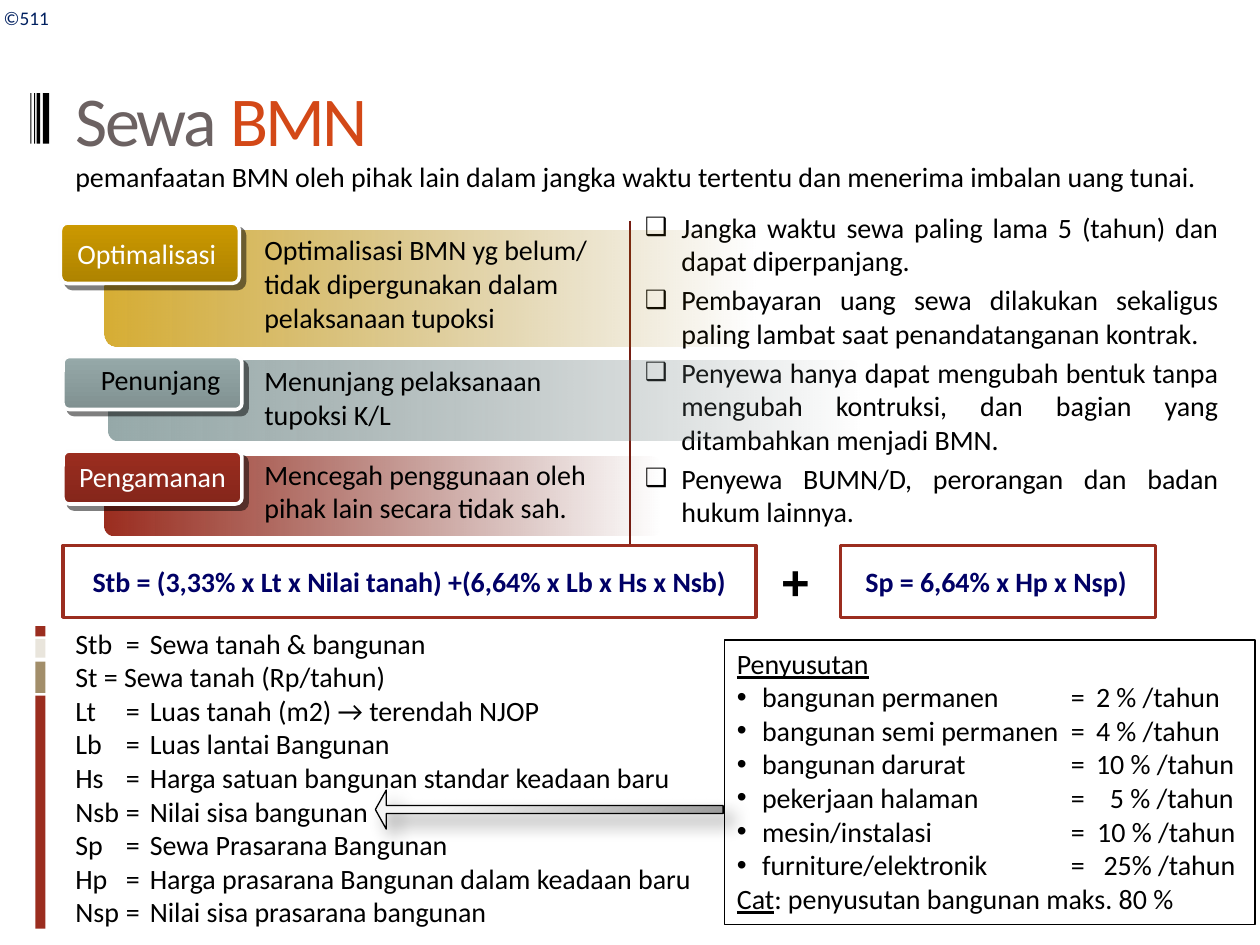
"""Build the "Sewa BMN" slide about leasing state-owned assets."""
from dataclasses import dataclass

from pptx import Presentation
from pptx.dml.color import RGBColor
from pptx.enum.shapes import MSO_CONNECTOR, MSO_SHAPE
from pptx.enum.text import MSO_ANCHOR, MSO_AUTO_SIZE, PP_ALIGN
from pptx.oxml import parse_xml
from pptx.oxml.ns import nsdecls, qn
from pptx.util import Pt

PX = 9144
TITLE_ONLY = 5
RECTANGLE, ROUNDED, ARROW = MSO_SHAPE.RECTANGLE, MSO_SHAPE.ROUNDED_RECTANGLE, MSO_SHAPE.RIGHT_ARROW
LEFT, CENTER, JUSTIFY = PP_ALIGN.LEFT, PP_ALIGN.CENTER, PP_ALIGN.JUSTIFY
TOP, MIDDLE = MSO_ANCHOR.TOP, MSO_ANCHOR.MIDDLE


@dataclass(frozen=True)
class Theme:
    """Colours, fonts and type sizes of the slide."""
    font: str = "Calibri"
    symbol_font: str = "Arial"
    black: str = "000000"
    white: str = "FFFFFF"
    light: str = "FEFFFF"
    border: str = "FEFEFE"
    red: str = "9B2D1F"
    dark_red: str = "751D12"
    sand: str = "A28E6A"
    cream: str = "E9E5DC"
    gray: str = "6C6262"
    orange: str = "D34817"
    formula: str = "000066"
    mark: str = "002060"
    small: int = 11
    body: int = 16
    plus: int = 28
    title: int = 40


THEME = Theme()

BANDS = [
    ((86, 286, 597, 64), [(0, "96A9A9", 100), (100, "6B7979", 0)]),
    ((83, 362, 441, 63), [(0, "9B2D1F", 100), (100, "6F2016", 0)]),
    ((83, 183, 517, 92), [(0, "CC9900", 80), (100, "926D00", 0)]),
]
PURPOSES = [
    ("Optimalisasi", (48, 177, 142, 48), (50, 183, 133, 37), ("CC9900", "AE8300"), THEME.light,
     "Optimalisasi BMN yg belum/ tidak dipergunakan dalam pelaksanaan tupoksi", (200, 180, 317, 91)),
    ("Penunjang", (50, 283, 142, 42), (61, 283, 133, 37), ("96A9A9", "809191"), THEME.black,
     "Menunjang pelaksanaan tupoksi K/L", (200, 284, 292, 64)),
    ("Pengamanan", (50, 358, 142, 42), (50, 360, 142, 37), ("9B2D1F", "85261B"), THEME.light,
     "Mencegah penggunaan oleh pihak lain secara tidak sah.", (200, 358, 292, 64)),
]
TERMS = [
    "Jangka waktu sewa paling lama 5 (tahun) dan dapat diperpanjang.",
    "Pembayaran uang sewa dilakukan sekaligus paling lambat saat penandatanganan kontrak.",
    "Penyewa hanya dapat mengubah bentuk tanpa mengubah kontruksi, dan bagian yang ditambahkan menjadi BMN.",
    "Penyewa BUMN/D, perorangan dan badan hukum lainnya.",
]
LEGEND = [
    "Stb\t=\tSewa tanah & bangunan",
    "St = Sewa tanah (Rp/tahun)",
    "Lt\t=\tLuas tanah (m2) → terendah NJOP",
    "Lb\t=\tLuas lantai Bangunan",
    "Hs\t=\tHarga satuan bangunan standar keadaan baru",
    "Nsb\t=\tNilai sisa bangunan",
    "Sp\t=\tSewa Prasarana Bangunan",
    "Hp\t=\tHarga prasarana Bangunan dalam keadaan baru",
    "Nsp\t=\tNilai sisa prasarana bangunan",
]
DEPRECIATION = [
    ("bangunan permanen", "2 % /tahun", 285),
    ("bangunan semi permanen", "4 % /tahun", 285),
    ("bangunan darurat", "10 % /tahun", 285),
    ("pekerjaan halaman", "5 % /tahun", 296),
    ("mesin/instalasi", "10 % /tahun", 286),
    ("furniture/elektronik", "25% /tahun", 291),
]


def px(*lengths):
    """Turn lengths in px into EMU."""
    return [length * PX for length in lengths]


def color_of(code):
    """Return the colour object of a hex code."""
    return RGBColor.from_string(code)


def add_text(shape, text, size=THEME.body, color=THEME.black, font=THEME.font, bold=False,
             align=LEFT, before=0, indent=0, hanging=0, bullet=None, bullet_size=100, tabs=(),
             spacing=0):
    """Add one paragraph of text, or of (text, run format) pairs, to a shape."""
    frame = shape.text_frame
    first = frame.paragraphs[0]
    paragraph = frame.add_paragraph() if first.runs else first
    properties = paragraph._p.get_or_add_pPr()
    if bullet:
        properties.append(parse_xml(f'<a:buSzPct {nsdecls("a")} val="{bullet_size * 1000}"/>'))
        properties.append(parse_xml(f'<a:buFont {nsdecls("a")} typeface="{THEME.symbol_font}"/>'))
        properties.append(parse_xml(f'<a:buChar {nsdecls("a")} char="{bullet}"/>'))
    if tabs:
        stops = "".join(f'<a:tab pos="{stop * PX}" algn="l"/>' for stop in tabs)
        properties.append(parse_xml(f'<a:tabLst {nsdecls("a")}>{stops}</a:tabLst>'))
    if indent:
        properties.set("marL", str(indent * PX))
        properties.set("indent", str(-hanging * PX))
    paragraph.alignment = align
    if before:
        paragraph.space_before = Pt(before)
    for content, style in [(text, {})] if isinstance(text, str) else text:
        run = paragraph.add_run()
        run.text = content
        run.font.name, run.font.size, run.font.bold = font, Pt(size), bold
        run.font.underline = style.get("underline", False)
        run.font.color.rgb = color_of(style.get("color", color))
        if spacing:
            run._r.get_or_add_rPr().set("spc", str(spacing))


def add_label(slide, box, text, **style):
    """Add a wrapping text box with one paragraph."""
    shape = slide.shapes.add_textbox(*px(*box))
    shape.text_frame.word_wrap = True
    add_text(shape, text, **style)


def add_block(slide, box, kind=RECTANGLE, fill=None, line=None, width=0.75, anchor=TOP, adjust=()):
    """Add a preset shape with a plain fill and outline."""
    shape = slide.shapes.add_shape(kind, *px(*box))
    shape.shadow.inherit = False
    shape.text_frame.vertical_anchor = anchor
    shape.text_frame.word_wrap = True
    for index, value in enumerate(adjust):
        shape.adjustments[index] = value
    if fill:
        shape.fill.solid()
        shape.fill.fore_color.rgb = color_of(fill)
    else:
        shape.fill.background()
    if line:
        shape.line.color.rgb = color_of(line)
        shape.line.width = Pt(width)
    else:
        shape.line.fill.background()
    return shape


def set_gradient(shape, stops, angle=0, radial=False):
    """Fill a shape with a gradient of (position, colour, opacity) stops."""
    shape.fill.gradient()
    gradient = shape._element.spPr.find(qn("a:gradFill"))
    for child in list(gradient):
        gradient.remove(child)
    colors = "".join(
        f'<a:gs pos="{position * 1000}"><a:srgbClr val="{color}">'
        f'<a:alpha val="{opacity * 1000}"/></a:srgbClr></a:gs>' for position, color, opacity in stops)
    gradient.append(parse_xml(f'<a:gsLst {nsdecls("a")}>{colors}</a:gsLst>'))
    direction = f'<a:lin {nsdecls("a")} ang="{angle * 60000}" scaled="0"/>'
    if radial:
        direction = (f'<a:path {nsdecls("a")} path="circle"><a:fillToRect l="-15000" t="-15000" '
                     'r="115000" b="115000"/></a:path>')
    gradient.append(parse_xml(direction))


def set_shadow(shape, opacity, blur, distance):
    """Give a shape a black shadow towards the lower right."""
    shape._element.spPr.find(qn("a:effectLst")).append(parse_xml(
        f'<a:outerShdw {nsdecls("a")} blurRad="{Pt(blur)}" dist="{Pt(distance)}" dir="2700000" '
        f'algn="tl" rotWithShape="0"><a:srgbClr val="{THEME.black}">'
        f'<a:alpha val="{opacity * 1000}"/></a:srgbClr></a:outerShdw>'))


def add_decoration(slide):
    """Add the side bars, the corner mark and the divider."""
    for top, height, color in [(552, 185, THEME.red), (525, 25, THEME.sand),
                               (507, 15, THEME.cream), (497, 8, THEME.red)]:
        add_block(slide, (28, top, 8, height), fill=color)
    for left, width in [(34, 5), (29, 3), (27, 1), (24, 1)]:
        add_block(slide, (left, 74, width, 40), fill=THEME.black)
    add_label(slide, (-7, 0, 61, 29), "©511", size=THEME.small, color=THEME.mark)
    divider = slide.shapes.add_connector(MSO_CONNECTOR.STRAIGHT, *px(500, 175, 500, 433))
    divider.line.color.rgb = color_of(THEME.dark_red)
    divider.line.width = Pt(0.75)
    divider._element.spPr.append(parse_xml(f'<a:effectLst {nsdecls("a")}/>'))


def add_title(slide):
    """Place and format the title."""
    title = slide.shapes.title
    title.left, title.top, title.width, title.height = px(50, 23, 900, 142)
    title.text_frame.auto_size = MSO_AUTO_SIZE.NONE
    title.text_frame.vertical_anchor = MIDDLE
    add_text(title, [("Sewa ", {}), ("BMN", {"color": THEME.orange})],
             size=THEME.title, color=THEME.gray, spacing=-150)


def add_formula(slide, box, text, **style):
    """Add a framed formula."""
    shape = add_block(slide, box, fill=THEME.white, line=THEME.red, width=2, anchor=MIDDLE)
    add_text(shape, text, color=THEME.formula, bold=True, **style)


def add_depreciation(slide):
    """Add the framed depreciation rates and the arrow to the residual value."""
    panel = add_block(slide, (575, 508, 421, 226), line=THEME.black)
    add_text(panel, [("Penyusutan", {"underline": True})])
    for name, rate, stop in DEPRECIATION:
        add_text(panel, f"{name}\t=\t{rate}", indent=20, hanging=20, bullet="•", tabs=(265, stop))
    add_text(panel, [("Cat", {"underline": True}), (": penyusutan bangunan maks. 80 %", {})])
    arrow = add_block(slide, (298, 627, 276, 31), ARROW, line=THEME.black, adjust=(0.205, 0.278))
    arrow._element.spPr.find(qn("a:xfrm")).set("flipH", "1")
    set_gradient(arrow, [(20, "F5F5F5", 100), (100, "979797", 100)], radial=True)
    set_shadow(arrow, 35, 10.2, 8)


def add_purposes(slide):
    """Add the three purposes with their fading bands and buttons."""
    for box, stops in BANDS:
        set_gradient(add_block(slide, box, ROUNDED, adjust=(0.115,)), stops)
    for name, button_box, name_box, (start, end), color, detail, detail_box in PURPOSES:
        button = add_block(slide, button_box, ROUNDED, line=THEME.border, width=2, adjust=(0.119,))
        set_gradient(button, [(0, start, 100), (100, end, 100)], angle=90)
        set_shadow(button, 50, 0, 4.2)
        add_label(slide, detail_box, detail)
        add_label(slide, name_box, name, color=color, align=CENTER)


def main():
    """Build and save the presentation."""
    presentation = Presentation()
    presentation.slide_width, presentation.slide_height = px(1000, 750)
    slide = presentation.slides.add_slide(presentation.slide_layouts[TITLE_ONLY])
    add_decoration(slide)
    add_title(slide)
    add_label(slide, (50, 122, 933, 33), "pemanfaatan BMN oleh pihak lain dalam jangka waktu "
              "tertentu dan menerima imbalan uang tunai.")
    terms = slide.shapes.add_textbox(*px(502, 162, 475, 265))
    terms.text_frame.word_wrap = True
    for index, term in enumerate(TERMS):
        add_text(terms, term, align=JUSTIFY, before=3 if index else 0, indent=29, hanging=29,
                 bullet="❑", bullet_size=90)
    add_formula(slide, (50, 433, 550, 57),
                "Stb = (3,33% x Lt x Nilai tanah) +(6,64% x Lb x Hs x Nsb)", align=CENTER)
    legend = add_block(slide, (50, 492, 542, 252), fill=THEME.white)
    for entry in LEGEND:
        add_text(legend, entry, tabs=(40, 59))
    add_formula(slide, (667, 433, 250, 57), "Sp = 6,64% x Hp x Nsp)", indent=10)
    add_label(slide, (610, 433, 42, 57), "+", size=THEME.plus, font=THEME.symbol_font, bold=True)
    add_depreciation(slide)
    add_purposes(slide)
    presentation.save("out.pptx")


if __name__ == "__main__":
    main()
